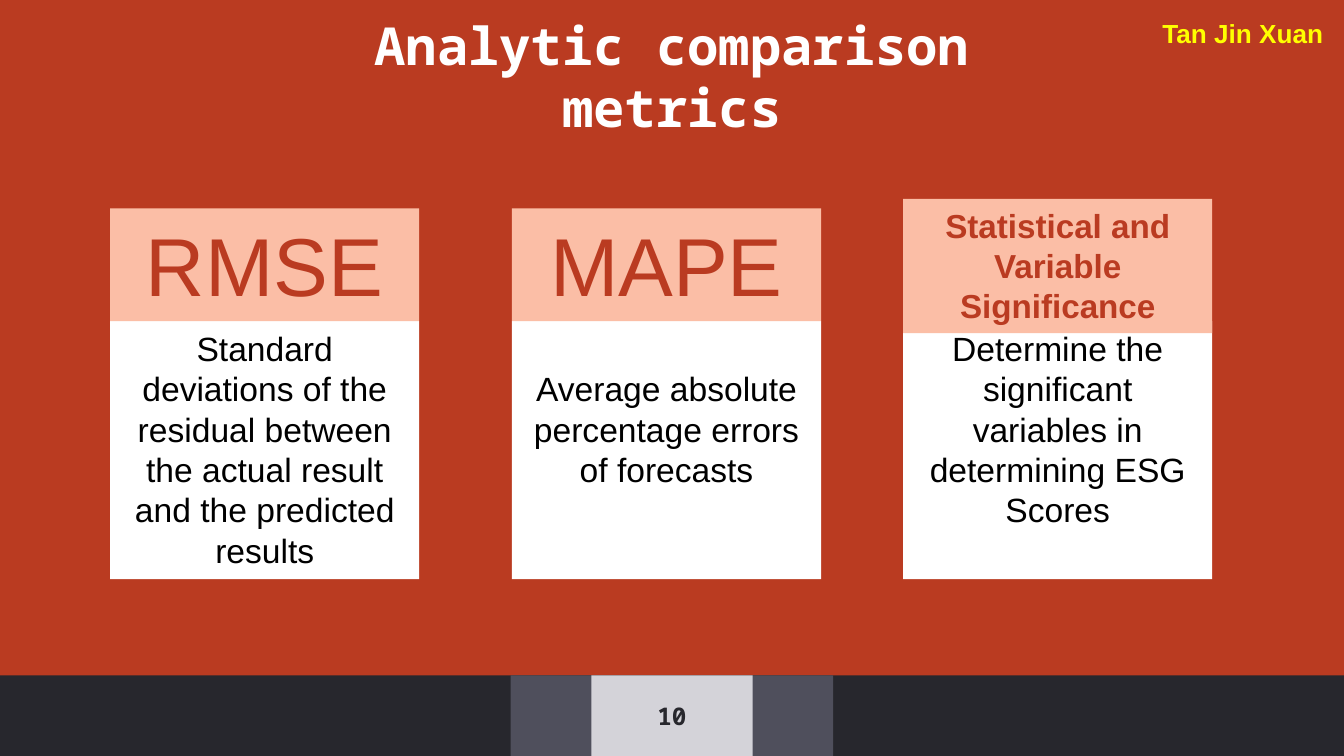
from pptx import Presentation
from pptx.dml.color import RGBColor
from pptx.enum.shapes import MSO_SHAPE
from pptx.enum.text import MSO_ANCHOR, PP_ALIGN
from pptx.util import Inches, Pt

RECTANGLE = MSO_SHAPE.RECTANGLE
TOP, MIDDLE, BOTTOM = MSO_ANCHOR.TOP, MSO_ANCHOR.MIDDLE, MSO_ANCHOR.BOTTOM
LEFT, CENTER = PP_ALIGN.LEFT, PP_ALIGN.CENTER

SANS, MONO = "Arial", "Noto Sans Mono"
RUST, PEACH, WHITE, BLACK = "BA3B21", "FBBEA6", "FFFFFF", "000000"
DARK, SLATE, PALE, YELLOW = "27272D", "4F4F5C", "D4D3D9", "FFFF00"

SLIDE_WIDTH = 10
SLIDE_HEIGHT = SLIDE_WIDTH * 9 / 16
CARD_WIDTH = 2.3
BODY_TOP, BODY_HEIGHT = 2.39, 1.92
FOOTER_HEIGHT = 0.6


def color(value):
    """Return the colour of a hex string."""
    return RGBColor.from_string(value)


def add_box(slide, left, top, width, height, fill):
    """Add a plain filled rectangle."""
    shape = slide.shapes.add_shape(
        RECTANGLE, Inches(left), Inches(top), Inches(width), Inches(height))
    shape.shadow.inherit = False
    shape.fill.solid()
    shape.fill.fore_color.rgb = color(fill)
    shape.line.fill.background()
    return shape


def add_text_box(slide, left, top, width, height):
    """Add an empty text box."""
    return slide.shapes.add_textbox(
        Inches(left), Inches(top), Inches(width), Inches(height))


def write(shape, text, size, text_color, font=SANS, bold=False, align=CENTER,
          anchor=TOP, inset=0.05):
    """Write one formatted paragraph into a shape."""
    frame = shape.text_frame
    frame.text = text
    frame.word_wrap = True
    frame.vertical_anchor = anchor
    frame.margin_top = frame.margin_bottom = Inches(inset)
    paragraph = frame.paragraphs[0]
    paragraph.alignment = align
    run_font = paragraph.runs[0].font
    run_font.name = font
    run_font.size = Pt(size)
    run_font.bold = bold
    run_font.color.rgb = color(text_color)


def add_footer(slide, number):
    """Add the footer bands and the page number, all centred on the slide."""
    top = SLIDE_HEIGHT - FOOTER_HEIGHT
    for width, fill in ((SLIDE_WIDTH, DARK), (2.4, SLATE), (1.2, PALE)):
        left = (SLIDE_WIDTH - width) / 2
        add_box(slide, left, top, width, FOOTER_HEIGHT, fill)
    page_number = add_text_box(slide, left, top, width, FOOTER_HEIGHT)
    write(page_number, number, 13, DARK, MONO, bold=True, anchor=MIDDLE, inset=0.1)


def add_card(slide, left, heading, body, heading_top=1.55, heading_height=0.84,
             heading_size=44, bold=False, body_inset=0.05):
    """Add a metric card: a white body under a peach heading."""
    body_box = add_box(slide, left, BODY_TOP, CARD_WIDTH, BODY_HEIGHT, WHITE)
    write(body_box, body, 18, BLACK)
    body_box.text_frame.margin_top = Inches(body_inset)
    heading_box = add_box(
        slide, left, heading_top, CARD_WIDTH, heading_height, PEACH)
    write(heading_box, heading, heading_size, RUST, bold=bold)


def main():
    """Build the slide and save it."""
    presentation = Presentation()
    presentation.slide_width = Inches(SLIDE_WIDTH)
    presentation.slide_height = Inches(SLIDE_HEIGHT)
    slide = presentation.slides.add_slide(presentation.slide_layouts[6])
    slide.background.fill.solid()
    slide.background.fill.fore_color.rgb = color(RUST)

    add_footer(slide, "10")
    title = add_text_box(slide, 1.9, 0.53, 6.2, 0.6)
    write(title, "Analytic comparison metrics", 28, WHITE, MONO, bold=True,
          anchor=BOTTOM, inset=0.1)

    add_card(slide, 0.82, "RMSE",
             "Standard deviations of the residual between the actual result "
             "and the predicted results")
    add_card(slide, 3.81, "MAPE",
             "Average absolute percentage errors of forecasts", body_inset=0.35)
    add_card(slide, 6.72, "Statistical and Variable Significance",
             "Determine the significant variables in determining ESG Scores",
             heading_top=1.48, heading_height=1, heading_size=17.8, bold=True)

    author = add_text_box(slide, 8.55, 0.08, 1.41, 0.34)
    write(author, "Tan Jin Xuan", 14, YELLOW, bold=True, align=LEFT)
    presentation.save("out.pptx")


if __name__ == "__main__":
    main()
